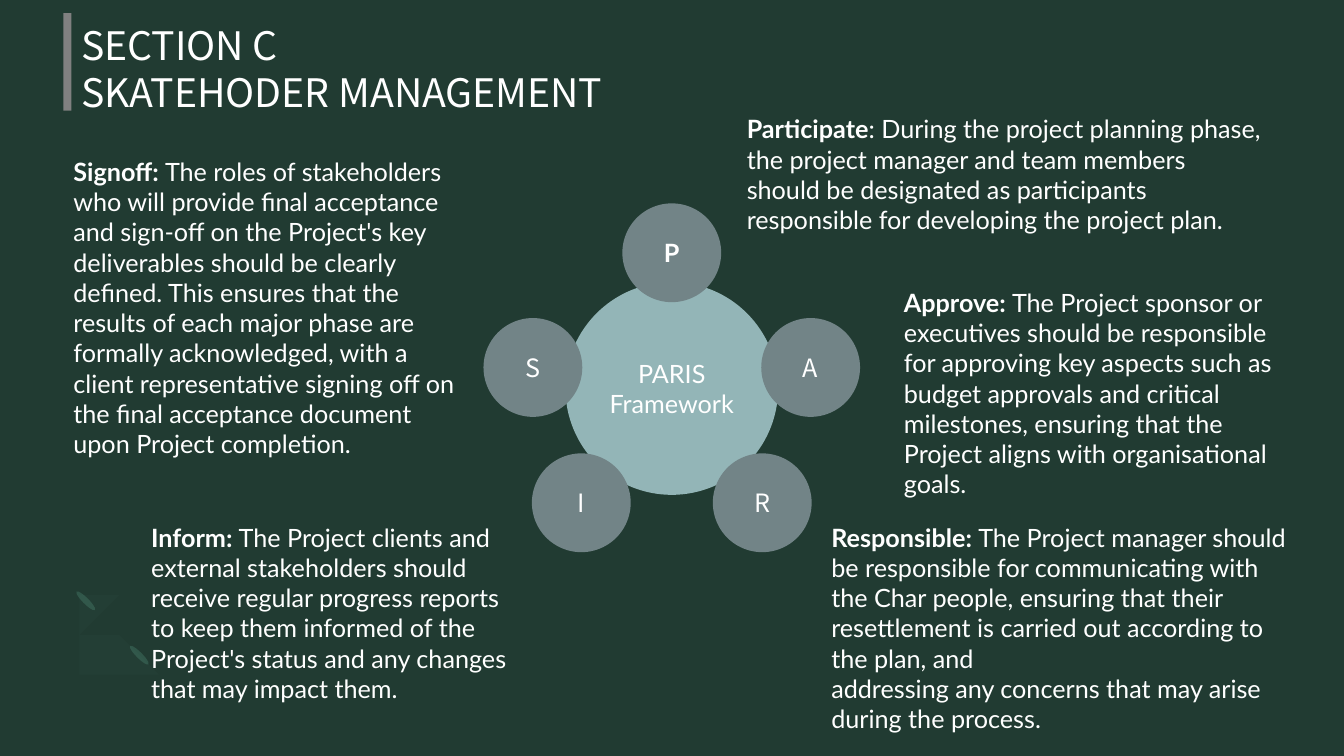
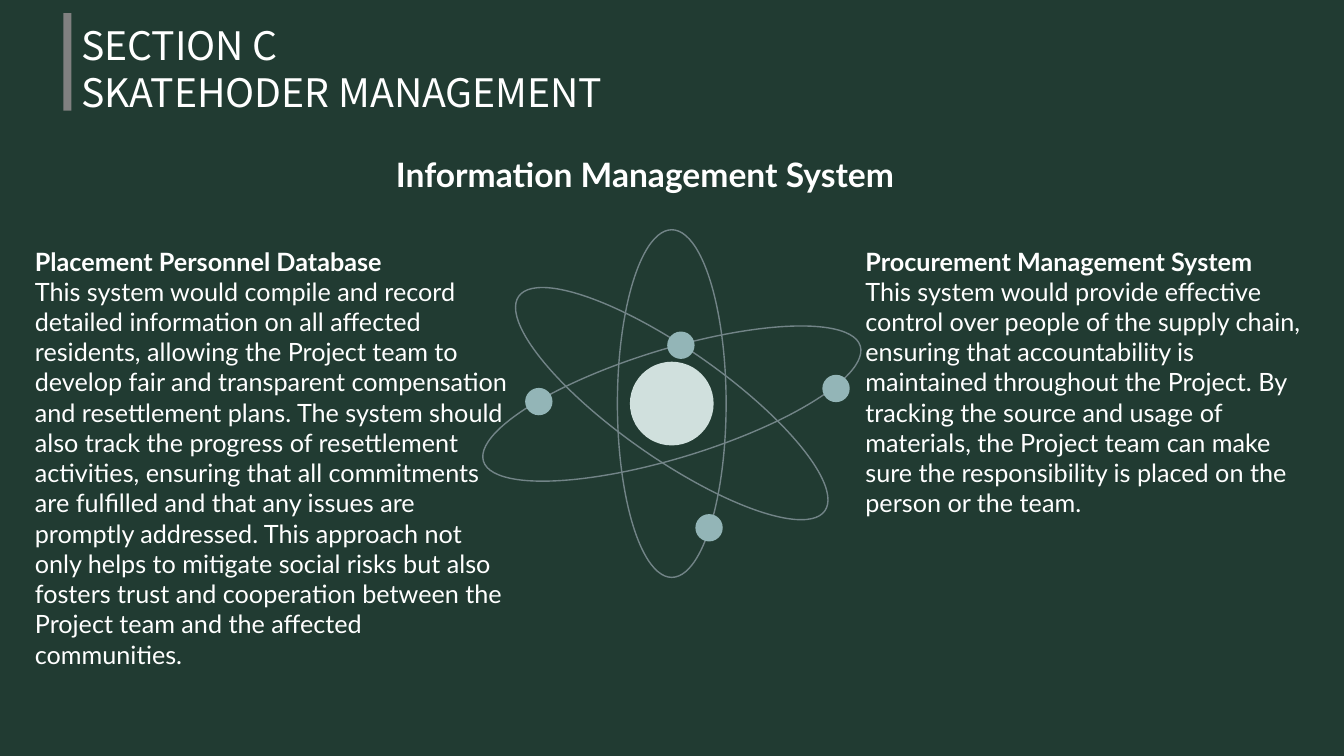
import pptx
import pptx.util
import pptx.dml.color
import pptx.enum.shapes
import pptx.enum.text
import pptx.oxml
from pptx.oxml import ns

Cm, Pt = pptx.util.Cm, pptx.util.Pt
RGBColor = pptx.dml.color.RGBColor
SHAPE = pptx.enum.shapes.MSO_SHAPE

BACKGROUND = RGBColor(0x21, 0x3B, 0x32)
WHITE = RGBColor(0xFF, 0xFF, 0xFF)
BAR_GREY = RGBColor(0x80, 0x80, 0x80)
SLATE = RGBColor(0x72, 0x84, 0x87)
TEAL = RGBColor(0x93, 0xB5, 0xB7)
PALE_TEAL = RGBColor(0xD0, 0xE0, 0xDD)
LEAF_GREEN = RGBColor(0x30, 0x56, 0x49)
ARC_GREEN = RGBColor(0x79, 0xB4, 0xA0)
BODY_FONT, TITLE_FONT = "Lato", "Noto Sans CJK SC"

# All positions and sizes are in centimetres.
TITLE = ["SECTION C", "SKATEHODER MANAGEMENT"]

# Each paragraph is a list of (text, bold) runs; each box is (left, top, width, height).
ROLES = [
    ((18.57, 2.74, 13.51, 4.11), [[
        ("Participate", True),
        (": During the project planning phase, the project manager and team members should be "
         "designated as participants responsible for developing the project plan.", False)]]),
    ((22.53, 7.11, 10.31, 5.64), [[
        ("Approve: ", True),
        ("The Project sponsor or executives should be responsible for approving key aspects such "
         "as budget approvals and critical milestones, ensuring that the Project aligns with "
         "organisational goals.", False)]]),
    ((20.7, 13.03, 12.14, 5.64), [
        [("Responsible: ", True),
         ("The Project manager should be responsible for communicating with the Char people, "
          "ensuring that their resettlement is carried out according to the plan, and", False)],
        [("addressing any concerns that may arise during the process.", False)]]),
    ((3.56, 13.03, 9.88, 4.88), [[
        ("Inform: ", True),
        ("The Project clients and external stakeholders should receive regular progress reports "
         "to keep them informed of the Project's status and any changes that may impact them.",
         False)]]),
    ((1.6, 3.81, 10.59, 7.95), [[
        ("Signoff: ", True),
        ("The roles of stakeholders who will provide final acceptance and sign-off on the "
         "Project's key deliverables should be clearly defined. This ensures that the results of "
         "each major phase are formally acknowledged, with a client representative signing off "
         "on the final acceptance document upon Project completion.", False)]]),
]
HUB = (16.93, 9.79)
# Letter, offset of its circle from the hub, font, bold
SATELLITES = [
    ("P", 0, -3.42, BODY_FONT, True),
    ("A", 3.5, -0.53, TITLE_FONT, False),
    ("R", 2.28, 2.88, TITLE_FONT, False),
    ("I", -2.28, 2.88, TITLE_FONT, False),
    ("S", -3.5, -0.53, TITLE_FONT, False),
]

SYSTEM_HEADING = "Information Management System"
SYSTEMS = [
    ((0.63, 6.07, 12.6, 11.79), [
        [("Placement Personnel Database", True)],
        [("This system would compile and record detailed information on all affected residents, "
          "allowing the Project team to develop fair and transparent compensation and "
          "resettlement plans. The system should also track the progress of resettlement "
          "activities, ensuring that all commitments are fulfilled and that any issues are "
          "promptly addressed. This approach not only helps to mitigate social risks but also "
          "fosters trust and cooperation between the Project team and the affected communities.",
          False)]]),
    ((21.56, 6.07, 11.66, 7.95), [
        [("Procurement Management System", True)],
        [("This system would provide effective control over people of the supply chain, ensuring "
          "that accountability is", False)],
        [("maintained throughout the Project. By tracking the source and usage of materials, the "
          "Project team can make sure the responsibility is placed on the person or the team.",
          False)]]),
]
NUCLEUS = (16.93, 10.17)
ORBITS = [(8.76, 0), (9.42, 305), (9.93, 73)]  # length, rotation
ELECTRONS = [(17.16, 8.7), (17.87, 13.3), (13.58, 10.12), (21.07, 9.79)]

LEAVES = [(3.51, 16.51), (2.16, 15.14)]
ARC_OUTER = [(2.06, 14.78), (1.5, 15.7), (1.93, 16.74), (2.9, 17.15), (3.86, 16.61)]
ARC_INNER = [(3.43, 16.15), (2.9, 16.4), (2.44, 16.21), (2.24, 15.7), (2.51, 15.24)]


def style_run(r, size, font=BODY_FONT, bold=False):
    r.font.size, r.font.name, r.font.bold = Pt(size), font, bold
    r.font.color.rgb = WHITE


def add_block(s, box, paragraphs, size=18, font=BODY_FONT):
    tf = s.shapes.add_textbox(*map(Cm, box)).text_frame
    tf.word_wrap = True
    for i, runs in enumerate(paragraphs):
        p = tf.add_paragraph() if i else tf.paragraphs[0]
        for text, bold in runs:
            r = p.add_run()
            r.text = text
            style_run(r, size, font, bold)
    return tf


def paint(sp, fill=None, line=None):
    sp.shadow.inherit = False
    if fill is None:
        sp.fill.background()
    else:
        sp.fill.solid()
        sp.fill.fore_color.rgb = fill
    if line is None:
        sp.line.fill.background()
    else:
        sp.line.color.rgb = line
        sp.line.width = Pt(1)


def add_ellipse(s, center, width, height, fill=None, line=None, rotation=0):
    x, y = center
    sp = s.shapes.add_shape(SHAPE.OVAL, Cm(x - width / 2), Cm(y - height / 2),
                            Cm(width), Cm(height))
    sp.rotation = rotation
    paint(sp, fill, line)
    return sp


def add_label(sp, text, font=BODY_FONT, bold=False):
    tf = sp.text_frame
    tf.text = text
    tf.vertical_anchor = pptx.enum.text.MSO_ANCHOR.MIDDLE
    p = tf.paragraphs[0]
    p.alignment = pptx.enum.text.PP_ALIGN.CENTER
    style_run(p.runs[0], 18, font, bold)


def add_leaf_decoration(s):
    for center in LEAVES:
        add_ellipse(s, center, 0.15, 0.66, LEAF_GREEN, rotation=135)
    start, *rest = ARC_OUTER + ARC_INNER
    fb = s.shapes.build_freeform(*start, scale=Cm(1))
    fb.add_line_segments(rest, close=True)
    sp = fb.convert_to_shape()
    paint(sp, ARC_GREEN)
    color = sp.fill._xPr.find(ns.qn("a:solidFill"))[0]
    color.append(pptx.oxml.parse_xml(f'<a:alpha {ns.nsdecls("a")} val="3000"/>'))


def new_slide(prs):
    """Add a slide with the shared background, bar and title."""
    s = prs.slides.add_slide(prs.slide_layouts[6])
    s.background.fill.solid()
    s.background.fill.fore_color.rgb = BACKGROUND
    bar = s.shapes.add_shape(SHAPE.RECTANGLE, Cm(1.6), Cm(0.33), Cm(0.2), Cm(2.46))
    paint(bar, BAR_GREY)
    tf = add_block(s, (1.8, 0.33, 14.88, 2.64), [[(line, False)] for line in TITLE],
                   28, TITLE_FONT)
    tf.margin_top = Cm(0.2)
    for p in tf.paragraphs:
        p.line_spacing = Pt(33.6)
    return s


def build_framework(prs):
    s = new_slide(prs)
    add_leaf_decoration(s)
    add_label(add_ellipse(s, HUB, 5.36, 5.36, TEAL), "PARIS Framework")
    for letter, dx, dy, font, bold in SATELLITES:
        sp = add_ellipse(s, (HUB[0] + dx, HUB[1] + dy), 2.49, 2.49, SLATE)
        add_label(sp, letter, font, bold)
    for box, paragraphs in ROLES:
        add_block(s, box, paragraphs)


def build_systems(prs):
    s = new_slide(prs)
    add_ellipse(s, NUCLEUS, 2.11, 2.11, PALE_TEAL)
    for length, rotation in ORBITS:
        add_ellipse(s, NUCLEUS, 2.74, length, line=SLATE, rotation=rotation)
    for center in ELECTRONS:
        add_ellipse(s, center, 0.69, 0.69, TEAL)
    add_block(s, (9.73, 3.76, 14.38, 1.27), [[(SYSTEM_HEADING, True)]], 24)
    for box, paragraphs in SYSTEMS:
        add_block(s, box, paragraphs)


def main():
    prs = pptx.Presentation()
    prs.slide_width, prs.slide_height = Cm(33.87), Cm(19.05)
    build_framework(prs)
    build_systems(prs)
    prs.save("out.pptx")


if __name__ == "__main__":
    main()
